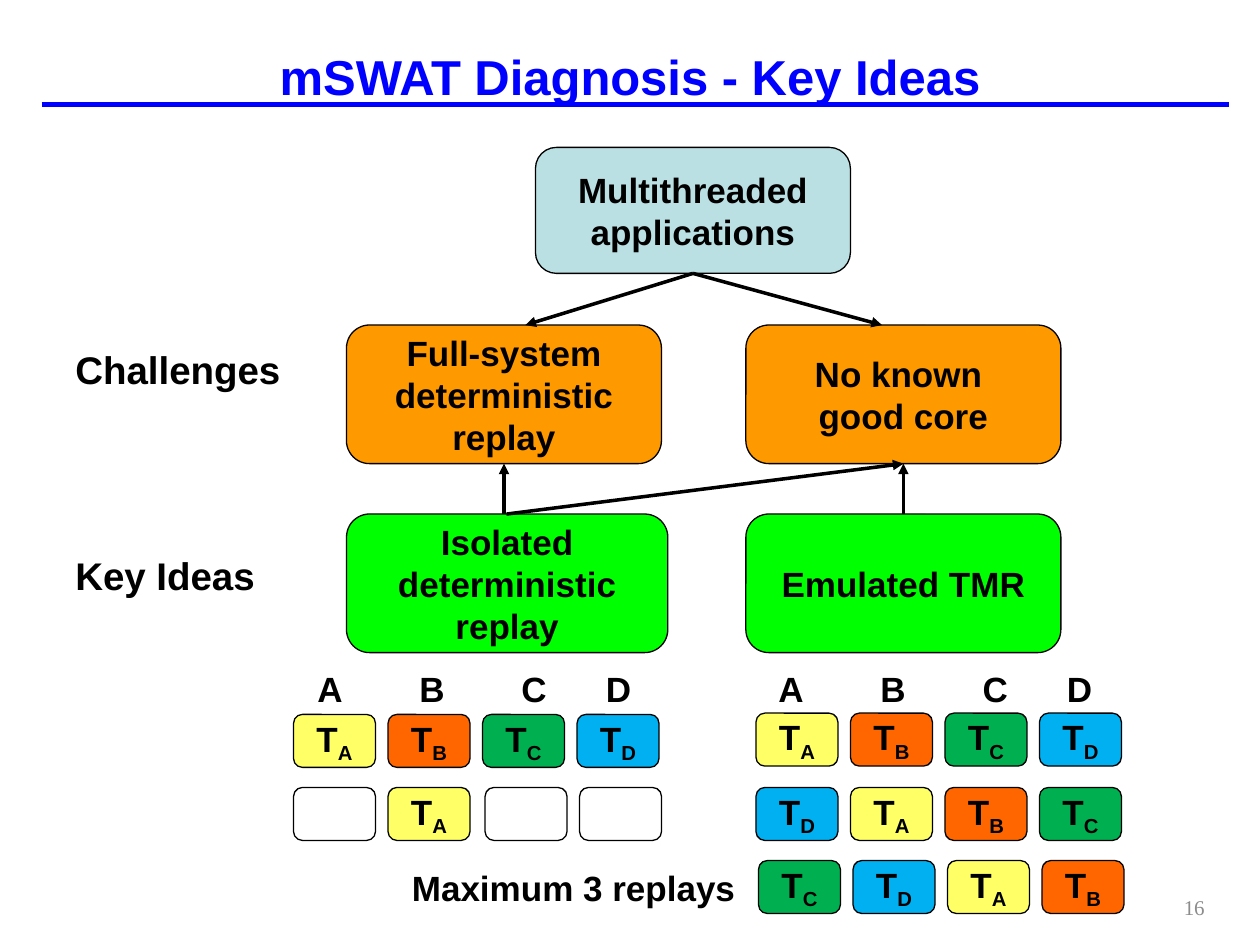
import pptx
import pptx.dml.color
import pptx.enum.shapes
import pptx.enum.text
import pptx.oxml.ns
import pptx.util
from lxml import etree

Inches = pptx.util.Inches
RGBColor = pptx.dml.color.RGBColor
Align = pptx.enum.text.PP_ALIGN
Anchor = pptx.enum.text.MSO_ANCHOR

BLACK = RGBColor(0x00, 0x00, 0x00)
BLUE = RGBColor(0x00, 0x00, 0xFF)
GRAY = RGBColor(0x8C, 0x8C, 0x8C)
PALE_BLUE = RGBColor(0xBB, 0xE0, 0xE3)
ORANGE = RGBColor(0xFF, 0x99, 0x00)
GREEN = RGBColor(0x00, 0xFF, 0x00)
THREAD_COLORS = {
    "A": RGBColor(0xFF, 0xFF, 0x66),
    "B": RGBColor(0xFF, 0x66, 0x00),
    "C": RGBColor(0x00, 0xB0, 0x50),
    "D": RGBColor(0x00, 0xB0, 0xF0),
}
EMPTY = "-"
TILE_PITCH = 0.75
CORE_TABS = (0.81, 1.62, 2.29)


def add_element(parent, tag, **attributes):
    return etree.SubElement(parent, pptx.oxml.ns.qn(tag), **attributes)


class SlideBuilder:
    text_format = {"name": "Arial", "size": pptx.util.Pt(20), "bold": True}

    def __init__(self, slide):
        self.slide = slide

    def run(self, paragraph, text, color=BLACK, **changes):
        run = paragraph.add_run()
        run.text = text
        for name, value in {**self.text_format, **changes}.items():
            setattr(run.font, name, value)
        run.font.color.rgb = color
        return run

    def text(self, text, left, top, width, height, align=Align.LEFT,
             anchor=Anchor.TOP, wrap=True, color=BLACK, **changes):
        box = self.slide.shapes.add_textbox(
            Inches(left), Inches(top), Inches(width), Inches(height))
        frame = box.text_frame
        frame.word_wrap = wrap
        frame.vertical_anchor = anchor
        paragraph = frame.paragraphs[0]
        paragraph.alignment = align
        self.run(paragraph, text, color, **changes)
        return paragraph

    def core_names(self, left, top):
        paragraph = self.text("\t".join(THREAD_COLORS), left, top, 2.83, 0.44)
        tabs = add_element(paragraph._p.get_or_add_pPr(), "a:tabLst")
        for position in CORE_TABS:
            add_element(tabs, "a:tab", pos=str(Inches(position)), algn="l")

    def rounded(self, left, top, width, height, fill=None):
        shape = self.slide.shapes.add_shape(
            pptx.enum.shapes.MSO_SHAPE.ROUNDED_RECTANGLE,
            Inches(left), Inches(top), Inches(width), Inches(height))
        shape.shadow.inherit = False
        if fill is None:
            shape.fill.background()
        else:
            shape.fill.solid()
            shape.fill.fore_color.rgb = fill
        shape.line.color.rgb = BLACK
        shape.line.width = pptx.util.Pt(0.75)
        shape.text_frame.word_wrap = True
        shape.text_frame.vertical_anchor = Anchor.MIDDLE
        return shape

    def box(self, lines, left, top, width, height, fill):
        frame = self.rounded(left, top, width, height, fill).text_frame
        for index, line in enumerate(lines):
            paragraph = frame.add_paragraph() if index else frame.paragraphs[0]
            paragraph.alignment = Align.CENTER
            self.run(paragraph, line)

    def tiles(self, threads, left, top):
        for index, thread in enumerate(threads):
            shape = self.rounded(left + index * TILE_PITCH, top, 0.65, 0.42,
                                 THREAD_COLORS.get(thread))
            if thread == EMPTY:
                continue
            paragraph = shape.text_frame.paragraphs[0]
            paragraph.alignment = Align.CENTER
            self.run(paragraph, "T")
            subscript = self.run(paragraph, thread)
            subscript._r.get_or_add_rPr().set("baseline", "-25000")

    def line(self, start, end, color=BLACK, width=2, arrow=True):
        connector = self.slide.shapes.add_connector(
            pptx.enum.shapes.MSO_CONNECTOR.STRAIGHT,
            *(Inches(value) for value in (*start, *end)))
        connector.line.color.rgb = color
        connector.line.width = pptx.util.Pt(width)
        if arrow:
            add_element(connector.line._get_or_add_ln(), "a:tailEnd", type="triangle")
        add_element(connector._element.spPr, "a:effectLst")


def main():
    presentation = pptx.Presentation()
    presentation.slide_width = Inches(10)
    presentation.slide_height = Inches(7.5)
    slide = presentation.slides.add_slide(presentation.slide_layouts[6])
    builder = SlideBuilder(slide)

    builder.line((0.33, 0.83), (9.75, 0.83), BLUE, 3, arrow=False)
    builder.text("mSWAT Diagnosis - Key Ideas", 0, 0.19, 10, 0.83, Align.CENTER,
                 Anchor.MIDDLE, color=BLUE, size=pptx.util.Pt(28))
    builder.text("16", 7.33, 7, 2.33, 0.4, Align.RIGHT, Anchor.MIDDLE, color=GRAY,
                 name="Times New Roman", size=pptx.util.Pt(12), bold=False)

    for label, top, width in (("Challenges", 2.7, 1.85), ("Key Ideas", 4.33, 1.64)):
        builder.text(label, 0.5, top, width, 0.47, wrap=False, size=pptx.util.Pt(22))

    builder.box(["Multithreaded applications"], 4.25, 1.17, 2.5, 1, PALE_BLUE)
    builder.box(["Full-system deterministic replay"], 2.75, 2.58, 2.5, 1.1, ORANGE)
    builder.box(["No known ", "good core"], 5.92, 2.58, 2.5, 1.1, ORANGE)
    builder.box(["Isolated deterministic replay"], 2.75, 4.08, 2.55, 1.1, GREEN)
    builder.box(["Emulated TMR"], 5.92, 4.08, 2.5, 1.1, GREEN)

    for start, end in (
        ((5.5, 2.17), (4.17, 2.58)),
        ((5.5, 2.17), (7, 2.58)),
        ((4, 4.08), (4, 3.68)),
        ((4.02, 4.08), (7.17, 3.68)),
        ((7.17, 4.08), (7.17, 3.68)),
    ):
        builder.line(start, end)

    for left in (2.42, 6.08):
        builder.core_names(left, 5.25)

    for threads, left, top in (
        ("ABCD", 2.33, 5.67),
        ("-A", 2.33, 6.25),
        ("--", 3.85, 6.25),
        ("ABCD", 6, 5.66),
        ("DABC", 6, 6.25),
        ("CDAB", 6.02, 6.83),
    ):
        builder.tiles(threads, left, top)

    builder.text("Maximum 3 replays", 3.17, 6.83, 3.25, 0.44)
    presentation.save("out.pptx")


if __name__ == "__main__":
    main()
